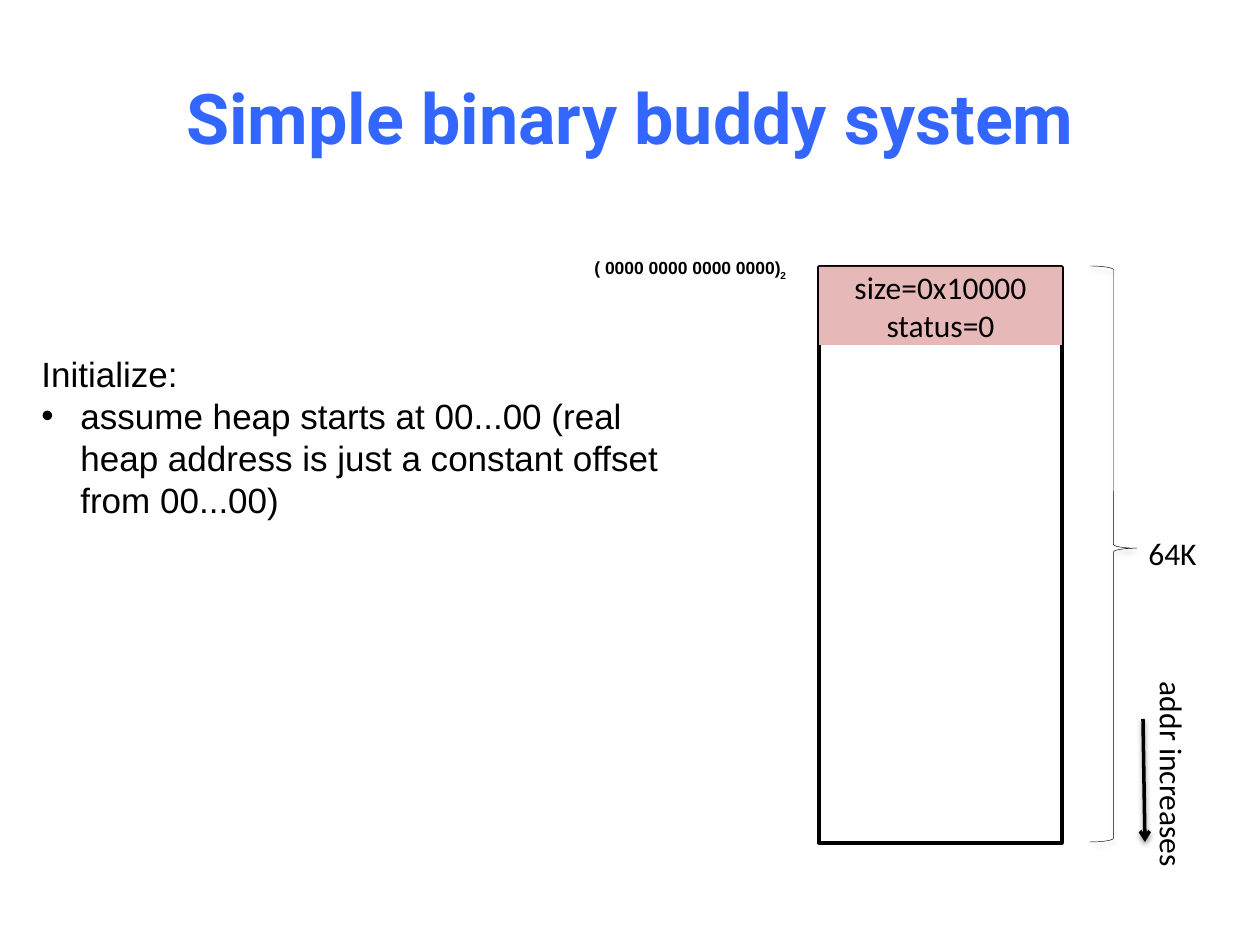
from lxml.etree import SubElement
from pptx import Presentation
from pptx.dml.color import RGBColor
from pptx.enum.shapes import MSO_CONNECTOR, MSO_SHAPE
from pptx.enum.text import MSO_ANCHOR, PP_ALIGN
from pptx.oxml import parse_xml
from pptx.oxml.ns import nsdecls, qn
from pptx.util import Emu, Inches, Pt

BLACK = RGBColor(0x00, 0x00, 0x00)
BLUE = RGBColor(0x33, 0x66, 0xFF)
PINK = RGBColor(0xE6, 0xB9, 0xB8)
PX_PER_INCH = 126


def px(*lengths):
    return [Emu(round(n * Inches(1) / PX_PER_INCH)) for n in lengths]


class SlideBuilder:
    def __init__(self, slide):
        self.slide = slide

    def set_lines(self, tf, lines, size, font, align=PP_ALIGN.LEFT, color=BLACK, bold=False):
        for i, line in enumerate(lines):
            p = tf.paragraphs[0] if i == 0 else tf.add_paragraph()
            p.text, p.alignment = line, align
            p.font.size, p.font.name, p.font.bold = Pt(size), font, bold
            p.font.color.rgb = color

    def title(self, text, box):
        sp = self.slide.shapes.title
        sp.left, sp.top, sp.width, sp.height = px(*box)
        sp.text_frame.vertical_anchor = MSO_ANCHOR.MIDDLE
        self.set_lines(sp.text_frame, [text], 40, "Roboto", PP_ALIGN.CENTER, BLUE, True)

    def text(self, lines, box, size, font, wrap=False, rotation=0, bold=False):
        sp = self.slide.shapes.add_textbox(*px(*box))
        sp.rotation = rotation
        sp.text_frame.word_wrap = wrap
        self.set_lines(sp.text_frame, lines, size, font, bold=bold)
        return sp.text_frame.paragraphs

    def shape(self, kind, box, fill=None, line=None):
        sp = self.slide.shapes.add_shape(kind, *px(*box))
        sp.shadow.inherit = False
        if fill is None:
            sp.fill.background()
        else:
            sp.fill.solid()
            sp.fill.fore_color.rgb = fill
        if line is None:
            sp.line.fill.background()
        else:
            sp.line.color.rgb, sp.line.width = BLACK, Pt(line)
        return sp

    def arrow(self, start, end):
        connector = self.slide.shapes.add_connector(MSO_CONNECTOR.STRAIGHT, *px(*start, *end))
        connector.line.color.rgb, connector.line.width = BLACK, Pt(2)
        SubElement(connector._element.spPr.find(qn("a:ln")), qn("a:tailEnd"), type="arrow")
        return connector

    def drop_shadow(self, sp, distance, opacity):
        """Cast a soft shadow straight down; distance in points, opacity in percent."""
        props = sp._element.spPr
        for old in props.findall(qn("a:effectLst")):
            props.remove(old)
        props.append(parse_xml(
            f'<a:effectLst {nsdecls("a")}><a:outerShdw blurRad="{Pt(3.1)}" '
            f'dist="{Pt(distance)}" dir="5400000" rotWithShape="0"><a:srgbClr val="{BLACK}">'
            f'<a:alpha val="{opacity * 1000}"/></a:srgbClr></a:outerShdw></a:effectLst>'))

    def bullet(self, p, indent):
        """Hang a bullet, placed ahead of the font settings as the schema requires."""
        props = p._p.get_or_add_pPr()
        props.set("marL", str(indent))
        props.set("indent", str(-indent))
        props.insert(0, parse_xml(f'<a:buFont {nsdecls("a")} typeface="Arial"/>'))
        props.insert(1, parse_xml(f'<a:buChar {nsdecls("a")} char="•"/>'))


def main():
    prs = Presentation()
    prs.slide_width, prs.slide_height = Inches(10), Inches(7.5)
    s = SlideBuilder(prs.slides.add_slide(prs.slide_layouts[5]))
    s.title("Simple binary buddy system", (63, 38, 1134, 157))

    heap_left, heap_top, heap_width, heap_height = 819, 267, 243, 576
    s.shape(MSO_SHAPE.RECTANGLE, (heap_left, heap_top, heap_width, heap_height), line=2)
    brace = s.shape(MSO_SHAPE.RIGHT_BRACE, (1090, 266, 47, heap_height), line=0.25)
    brace.adjustments[0], brace.adjustments[1] = 0.08, 0.49
    s.drop_shadow(brace, 1.8, 35)
    s.text(["64K"], (1136, 528, 74, 50), 18, "Calibri")

    address = s.text(["( 0000 0000 0000 0000)"], (582, 251, 222, 34), 10, "Arial", bold=True)[0]
    base = address.add_run()
    base.text = "2"
    base._r.get_or_add_rPr().set("baseline", "-25000")

    steps = s.text(
        ["Initialize:",
         "assume heap starts at 00...00 (real heap address is just a constant offset from 00...00)"],
        (29, 346, 682, 183), 20, "Arial", wrap=True)
    s.bullet(steps[1], px(39)[0])

    s.drop_shadow(s.arrow((1143, 719), (1145, 842)), 1.6, 38)
    s.text(["addr increases"], (1066, 751, 213, 50), 18, "Calibri", rotation=90)

    header = s.shape(MSO_SHAPE.RECTANGLE, (heap_left, heap_top, heap_width, 78), fill=PINK)
    header.text_frame.vertical_anchor = MSO_ANCHOR.MIDDLE
    s.set_lines(header.text_frame, ["size=0x10000", "status=0"], 18, "Calibri", PP_ALIGN.CENTER)

    prs.save("out.pptx")


if __name__ == "__main__":
    main()
